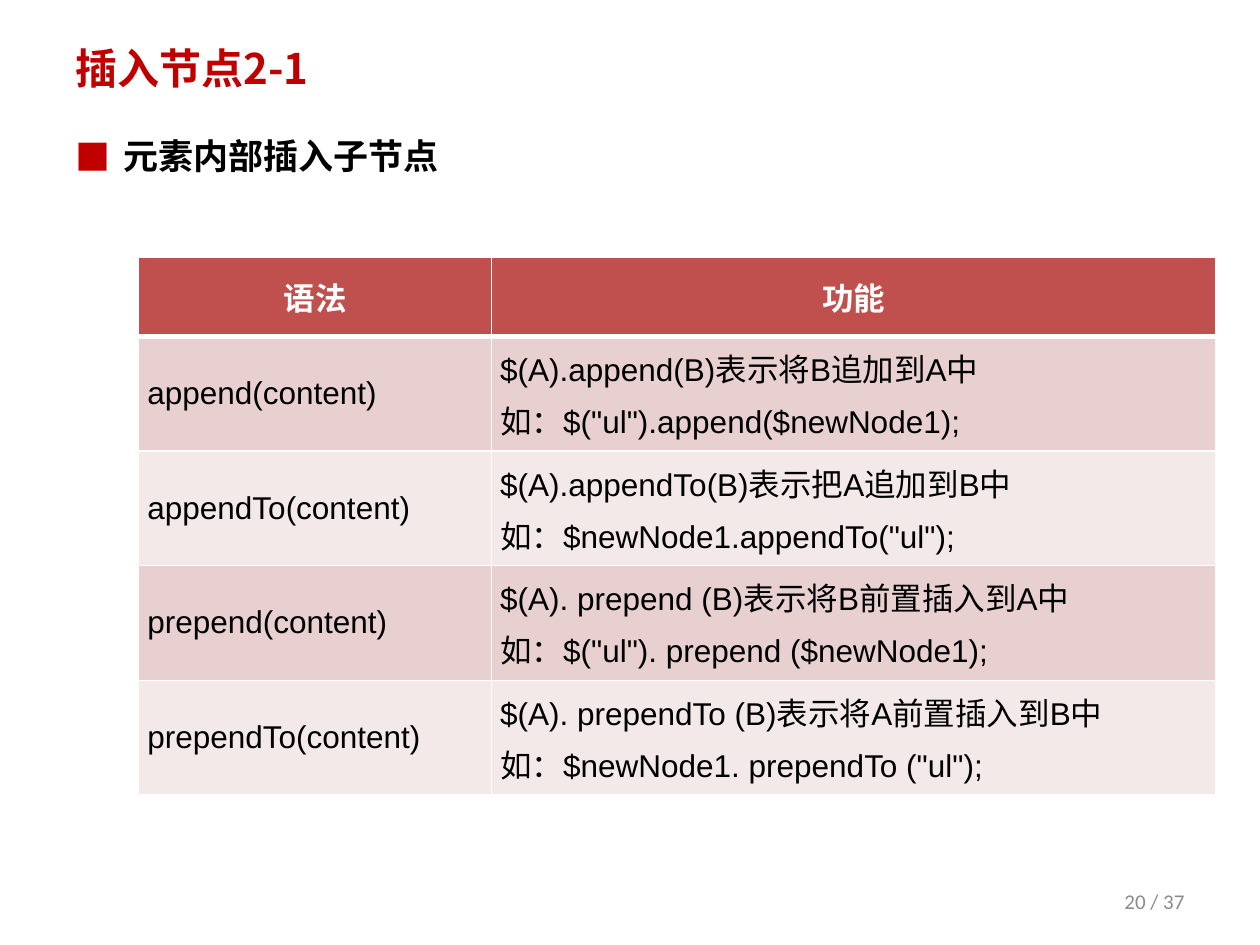
from dataclasses import dataclass

from lxml.etree import SubElement
from pptx import Presentation
from pptx.dml.color import RGBColor
from pptx.enum.text import MSO_ANCHOR as Anchor, MSO_AUTO_SIZE as AutoSize, PP_ALIGN as Align
from pptx.oxml import parse_xml
from pptx.oxml.ns import nsdecls, qn
from pptx.util import Inches, Pt


@dataclass(frozen=True)
class Theme:
    accent: str = "C00000"
    header: str = "C0504D"
    bands: tuple = ("E8D0D0", "F4E9E9")
    ink: str = "000000"
    white: str = "FFFFFF"
    muted: str = "8C8C8C"
    cjk: str = "Noto Sans CJK SC"
    latin: str = "Arial"
    footer: str = "Calibri"
    title_size: int = 24
    body_size: int = 20
    table_size: int = 18
    footer_size: int = 12


@dataclass(frozen=True)
class TextStyle:
    font: str
    size: int
    color: str
    bold: bool = False
    align: Align = Align.LEFT
    space_before: float = 0


@dataclass(frozen=True)
class Method:
    syntax: str
    meaning: str
    example: str


THEME = Theme()
TITLE = TextStyle(THEME.cjk, THEME.title_size, THEME.accent, True)
BODY = TextStyle(THEME.cjk, THEME.body_size, THEME.ink, True, space_before=4)
HEADER = TextStyle(THEME.latin, THEME.table_size, THEME.white, True, Align.CENTER, 3.6)
CELL = TextStyle(THEME.latin, THEME.table_size, THEME.ink, space_before=3.6)
PAGE_NUMBER = TextStyle(THEME.footer, THEME.footer_size, THEME.muted, align=Align.RIGHT)

METHODS = [
    Method("append(content)", "$(A).append(B)表示将B追加到A中",
           '如：$("ul").append($newNode1);'),
    Method("appendTo(content)", "$(A).appendTo(B)表示把A追加到B中",
           '如：$newNode1.appendTo("ul");'),
    Method("prepend(content)", "$(A). prepend (B)表示将B前置插入到A中",
           '如：$("ul"). prepend ($newNode1);'),
    Method("prependTo(content)", "$(A). prependTo (B)表示将A前置插入到B中",
           '如：$newNode1. prependTo ("ul");'),
]


def set_values(target, values: dict) -> None:
    for name, value in values.items():
        setattr(target, name, value)


def place(shape, left: float, top: float, width: float, height: float) -> None:
    set_values(shape, {"left": Inches(left), "top": Inches(top),
                       "width": Inches(width), "height": Inches(height)})


def write(frame, lines: list[str], style: TextStyle) -> None:
    """Fill a text frame with one paragraph per line."""
    for index, line in enumerate(lines):
        para = frame.add_paragraph() if index else frame.paragraphs[0]
        set_values(para, {"alignment": style.align, "space_before": Pt(style.space_before)})
        span = para.add_run()
        span.text = line
        set_values(span.font, {"name": style.font, "size": Pt(style.size), "bold": style.bold})
        span.font.color.rgb = RGBColor.from_string(style.color)
        SubElement(span.font._element, qn("a:ea"), typeface=THEME.cjk)


def add_text(page, bounds: tuple, line: str, style: TextStyle, anchor: Anchor):
    box = page.shapes.add_textbox(*map(Inches, bounds))
    set_values(box.text_frame, {"word_wrap": True, "vertical_anchor": anchor})
    write(box.text_frame, [line], style)
    return box


def add_bullet(para, indent: float, color: str) -> None:
    props = para._p.get_or_add_pPr()
    props.set("marL", str(Inches(indent)))
    props.set("indent", str(-Inches(indent)))
    clr = SubElement(props, qn("a:buClr"))
    SubElement(clr, qn("a:srgbClr"), val=color)
    SubElement(props, qn("a:buFont"), typeface=THEME.cjk)
    SubElement(props, qn("a:buChar"), char="■")


def set_borders(cell, widths: dict[str, float]) -> None:
    props = cell._tc.get_or_add_tcPr()
    for index, (side, width) in enumerate(widths.items()):
        props.insert(index, parse_xml(
            f'<a:ln{side} {nsdecls("a")} w="{Pt(width)}"><a:solidFill>'
            f'<a:srgbClr val="{THEME.white}"/></a:solidFill></a:ln{side}>'))


def fill_cell(cell, lines: list[str], style: TextStyle, fill: str, top: int, bottom: int) -> None:
    set_values(cell, {"vertical_anchor": Anchor.MIDDLE,
                      "margin_left": Inches(0.07), "margin_right": Inches(0.07),
                      "margin_top": 0, "margin_bottom": 0})
    cell.fill.solid()
    cell.fill.fore_color.rgb = RGBColor.from_string(fill)
    write(cell.text_frame, lines, style)
    set_borders(cell, {"L": 1, "R": 1, "T": top, "B": bottom})


def add_method_table(page, methods: list[Method]) -> None:
    columns = [2.8, 5.75]
    heights = [0.63] + [0.91] * len(methods)
    table = page.shapes.add_table(len(heights), len(columns), Inches(1.1), Inches(2.04),
                                  Inches(sum(columns)), Inches(sum(heights))).table
    for column, width in zip(table.columns, columns):
        column.width = Inches(width)
    for row, height in zip(table.rows, heights):
        row.height = Inches(height)

    # Heading row, with a heavy rule below it
    for col, heading in enumerate(["语法", "功能"]):
        fill_cell(table.cell(0, col), [heading], HEADER, THEME.header, 1, 3)

    # Banded method rows
    for row, method in enumerate(methods, start=1):
        fill = THEME.bands[(row - 1) % len(THEME.bands)]
        top = 3 if row == 1 else 1
        fill_cell(table.cell(row, 0), [method.syntax], CELL, fill, top, 1)
        fill_cell(table.cell(row, 1), [method.meaning, method.example], CELL, fill, top, 1)


def main() -> None:
    deck = Presentation()
    set_values(deck, {"slide_width": Inches(10), "slide_height": Inches(7.5)})
    page = deck.slides.add_slide(deck.slide_layouts[5])

    # Title
    title = page.shapes.title
    place(title, 0.5, 0.3, 9, 0.48)
    set_values(title.text_frame, {"vertical_anchor": Anchor.MIDDLE, "auto_size": AutoSize.NONE})
    write(title.text_frame, ["插入节点2-1"], TITLE)

    # Bulleted lead line
    lead = add_text(page, (0.5, 1.02, 9, 5.68), "元素内部插入子节点", BODY, Anchor.TOP)
    add_bullet(lead.text_frame.paragraphs[0], 0.38, THEME.accent)

    # Method table and page number
    add_method_table(page, METHODS)
    add_text(page, (7.17, 6.95, 2.33, 0.4), "20 / 37", PAGE_NUMBER, Anchor.MIDDLE)

    deck.save("out.pptx")


if __name__ == "__main__":
    main()
